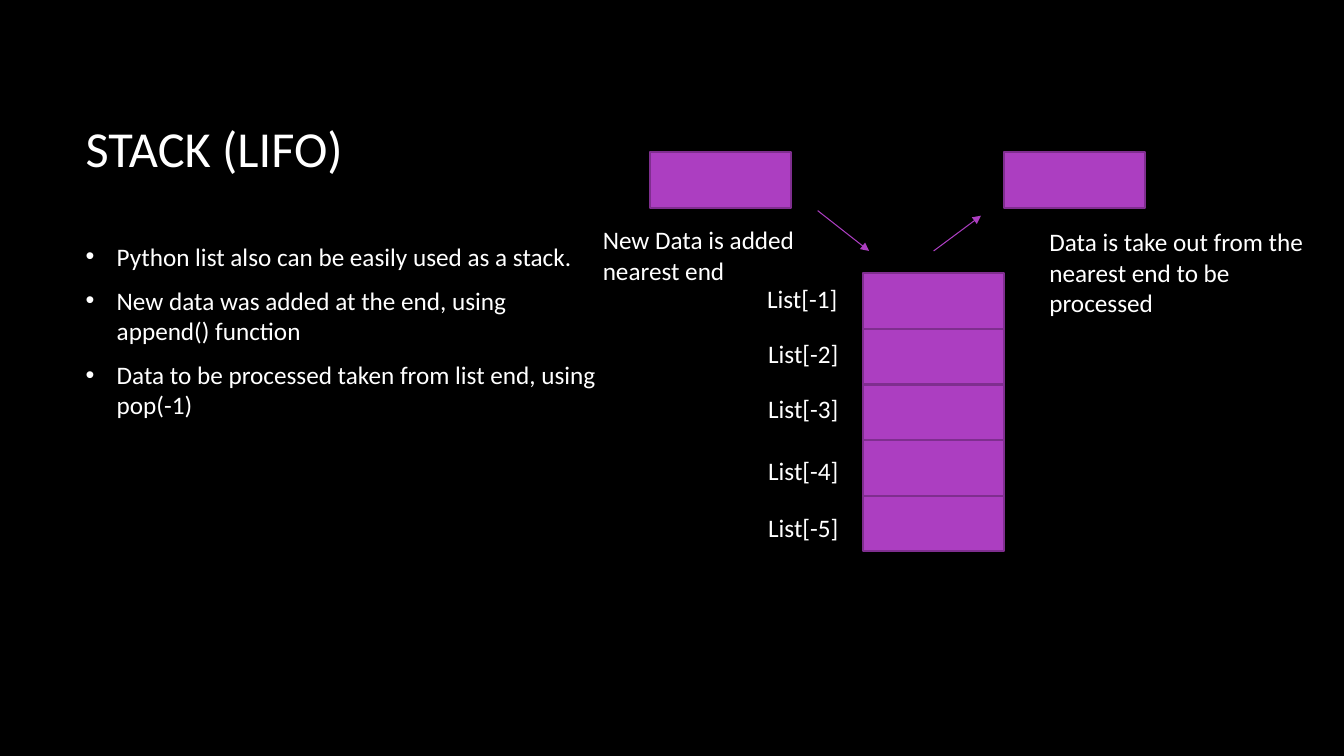
from typing import NamedTuple

from lxml.etree import SubElement
from pptx import Presentation
from pptx.dml.color import RGBColor
from pptx.enum.shapes import MSO_CONNECTOR, MSO_SHAPE
from pptx.enum.text import MSO_ANCHOR
from pptx.oxml.ns import qn
from pptx.util import Inches, Pt

BLACK, WHITE = "000000", "FFFFFF"
PURPLE, DARK_PURPLE = "AC3EC1", "7F2E8F"
CELL_WIDTH, CELL_HEIGHT = 1.4, 0.55
STACK_LEFT, STACK_TOP, STACK_PITCH = 8.56, 2.71, 0.5525


class Caption(NamedTuple):
    left: float
    top: float
    width: float
    height: float
    paragraphs: list[str]
    size: int = 18
    bulleted: bool = False
    anchor: MSO_ANCHOR = MSO_ANCHOR.TOP


class Cell(NamedTuple):
    left: float
    top: float


class Arrow(NamedTuple):
    start: tuple[float, float]
    end: tuple[float, float]


def color(value: str) -> RGBColor:
    return RGBColor.from_string(value)


def add_bullet(paragraph) -> None:
    properties = paragraph._p.get_or_add_pPr()
    properties.set("marL", str(Inches(0.31)))
    properties.set("indent", str(Inches(-0.31)))
    SubElement(properties, qn("a:buFont")).set("typeface", "Arial")
    SubElement(properties, qn("a:buChar")).set("char", "•")


def draw_caption(slide, caption: Caption) -> None:
    box = slide.shapes.add_textbox(
        Inches(caption.left), Inches(caption.top), Inches(caption.width), Inches(caption.height)
    )
    frame = box.text_frame
    frame.word_wrap = True
    frame.vertical_anchor = caption.anchor
    for index, text in enumerate(caption.paragraphs):
        paragraph = frame.add_paragraph() if index else frame.paragraphs[0]
        paragraph.space_after = Pt(10 if caption.size == 18 else 0)
        if caption.bulleted:
            add_bullet(paragraph)
        run = paragraph.add_run()
        run.text = text
        run.font.name = "Calibri"
        run.font.size = Pt(caption.size)
        run.font.color.rgb = color(WHITE)


def draw_cell(slide, cell: Cell) -> None:
    shape = slide.shapes.add_shape(
        MSO_SHAPE.RECTANGLE, Inches(cell.left), Inches(cell.top),
        Inches(CELL_WIDTH), Inches(CELL_HEIGHT),
    )
    shape.shadow.inherit = False
    shape.fill.solid()
    shape.fill.fore_color.rgb = color(PURPLE)
    shape.line.color.rgb = color(DARK_PURPLE)
    shape.line.width = Pt(1.5)


def draw_arrow(slide, arrow: Arrow) -> None:
    connector = slide.shapes.add_connector(
        MSO_CONNECTOR.STRAIGHT, *map(Inches, arrow.start + arrow.end)
    )
    connector.line.color.rgb = color(PURPLE)
    connector.line.width = Pt(0.75)
    SubElement(connector.line._get_or_add_ln(), qn("a:tailEnd")).set("type", "triangle")
    SubElement(connector._element.spPr, qn("a:effectLst"))


# Stack cells, then the incoming and outgoing items
CELLS = [Cell(STACK_LEFT, STACK_TOP + row * STACK_PITCH) for row in range(5)]
CELLS += [Cell(6.45, 1.51), Cell(9.96, 1.51)]

ARROWS = [Arrow((8.11, 2.09), (8.62, 2.49)), Arrow((9.26, 2.49), (9.73, 2.14))]

CAPTIONS = [
    Caption(0.75, 0.67, 11.08, 1.59, ["STACK (LIFO)"], size=36, anchor=MSO_ANCHOR.MIDDLE),
    Caption(0.75, 2.34, 5.27, 3.67, [
        "Python list also can be easily used as a stack.",
        "New data was added at the end, using append() function",
        "Data to be processed taken from list end, using pop(-1)",
    ], bulleted=True),
    Caption(10.31, 2.2, 2.79, 0.96, ["Data is take out from the nearest end to be processed"]),
    Caption(5.88, 2.18, 2.49, 0.86, ["New Data is added nearest end"]),
]

# Index labels beside the stack
INDEX_POSITIONS = [(7.51, 2.76), (7.52, 3.31), (7.52, 3.85), (7.52, 4.47), (7.52, 5.03)]
CAPTIONS += [
    Caption(left, top, 1.04, 0.39, [f"List[-{index}]"])
    for index, (left, top) in enumerate(INDEX_POSITIONS, start=1)
]


def main() -> None:
    presentation = Presentation()
    presentation.slide_width = Inches(13.33)
    presentation.slide_height = Inches(7.5)
    slide = presentation.slides.add_slide(presentation.slide_layouts[6])
    slide.background.fill.solid()
    slide.background.fill.fore_color.rgb = color(BLACK)

    for cell in CELLS:
        draw_cell(slide, cell)
    for arrow in ARROWS:
        draw_arrow(slide, arrow)
    for caption in CAPTIONS:
        draw_caption(slide, caption)

    presentation.save("out.pptx")


if __name__ == "__main__":
    main()
